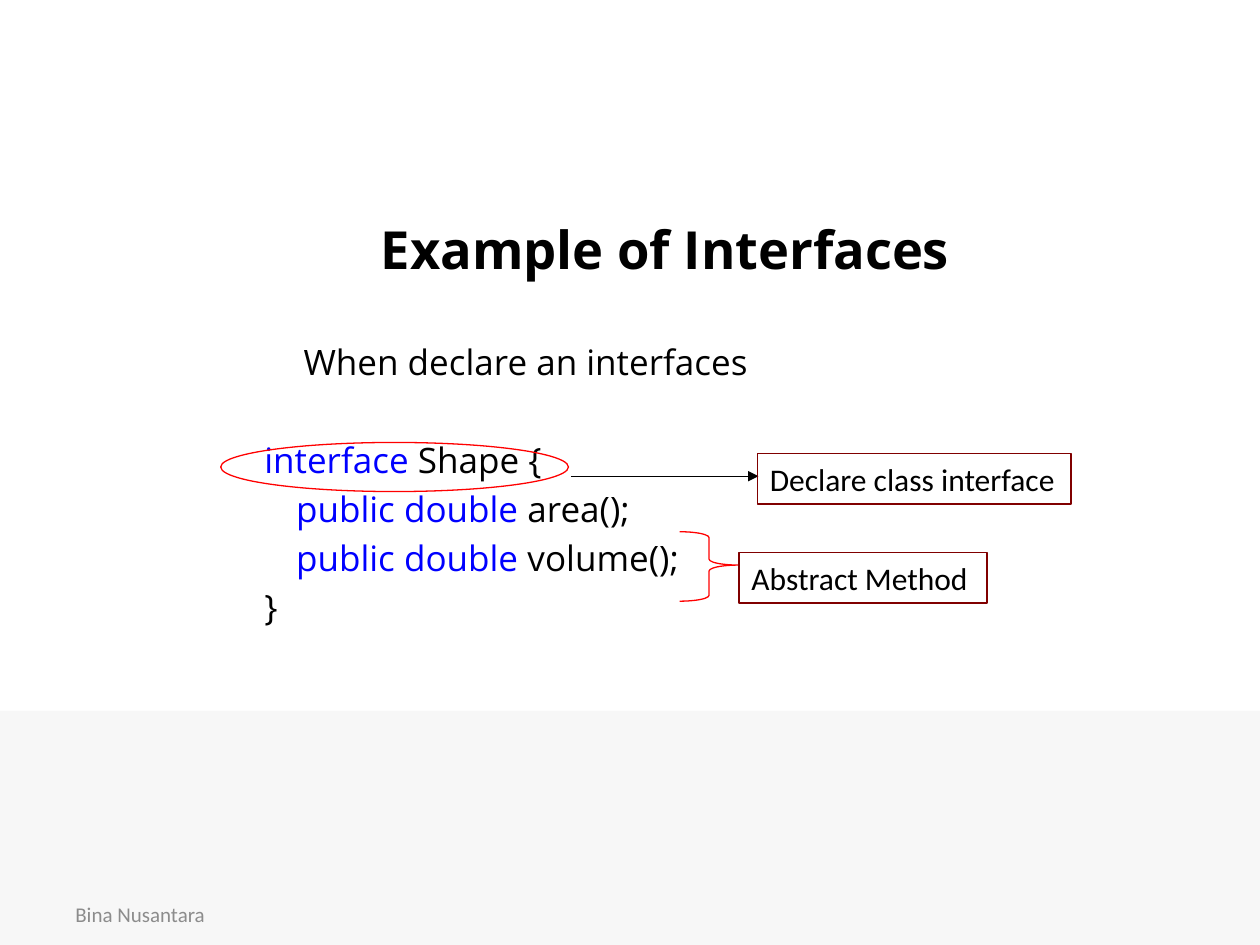
from dataclasses import dataclass
from typing import NamedTuple

from pptx import Presentation
from pptx.dml.color import RGBColor
from pptx.enum.shapes import MSO_CONNECTOR, MSO_SHAPE
from pptx.enum.text import MSO_ANCHOR, PP_ALIGN
from pptx.oxml.ns import qn
from pptx.util import Cm, Pt
from lxml.etree import SubElement


@dataclass(frozen=True)
class Theme:
    black: str = "000000"
    keyword: str = "0000FF"
    marker: str = "FF0000"
    label_border: str = "800000"
    band: str = "F7F7F7"
    footer: str = "8C8C8C"
    heading_font: str = "Open Sans"
    label_font: str = "Calibri"
    title_size: float = 30
    body_size: float = 20
    label_size: float = 18
    footer_size: float = 12
    line_width: float = 0.75


class Box(NamedTuple):
    left: float
    top: float
    width: float
    height: float

    def lengths(self) -> tuple:
        return tuple(Cm(value) for value in self)


class Marker(NamedTuple):
    kind: MSO_SHAPE
    box: Box
    color: str
    label: str = ""
    adjustments: tuple = ()


class BodyLine(NamedTuple):
    keyword: str
    rest: str
    indent: float
    space_before: float


THEME = Theme()
CODE_INDENT = 3.81
MEMBER_INDENT = 4.45
LINE_GAP = 4
SECTION_GAP = 32

BODY_LINES = [
    BodyLine("", "When declare an interfaces", 4.6, 0),
    BodyLine("interface", " Shape {", CODE_INDENT, SECTION_GAP),
    BodyLine("public double", " area();", MEMBER_INDENT, LINE_GAP),
    BodyLine("public double", " volume();", MEMBER_INDENT, LINE_GAP),
    BodyLine("", "}", CODE_INDENT, LINE_GAP),
]

MARKERS = [
    Marker(MSO_SHAPE.OVAL, Box(4.45, 8.92, 7.01, 0.99), THEME.marker),
    Marker(MSO_SHAPE.RECTANGLE, Box(15.27, 9.14, 6.32, 1.02), THEME.label_border,
           "Declare class interface"),
    Marker(MSO_SHAPE.RIGHT_BRACE, Box(13.7, 10.72, 1.19, 1.4), THEME.marker,
           adjustments=(0.1, 0.48)),
    Marker(MSO_SHAPE.RECTANGLE, Box(14.9, 11.14, 5, 1.02), THEME.label_border,
           "Abstract Method"),
]


def add_text(paragraph, text: str, *, font: str = THEME.label_font,
             size: float = THEME.label_size, color: str = THEME.black,
             bold: bool = False, align: PP_ALIGN = PP_ALIGN.LEFT) -> None:
    paragraph.alignment = align
    run = paragraph.add_run()
    run.text = text
    run.font.name = font
    run.font.size = Pt(size)
    run.font.bold = bold
    run.font.color.rgb = RGBColor.from_string(color)


def add_band(slide) -> None:
    band = slide.shapes.add_shape(
        MSO_SHAPE.RECTANGLE, *Box(0, 14.33, 25.4, 4.72).lengths())
    band.shadow.inherit = False
    band.fill.solid()
    band.fill.fore_color.rgb = RGBColor.from_string(THEME.band)
    band.line.fill.background()


def add_footer(slide) -> None:
    footer = slide.shapes.add_textbox(*Box(1.27, 17.92, 5.92, 1.02).lengths())
    frame = footer.text_frame
    frame.word_wrap = True
    frame.vertical_anchor = MSO_ANCHOR.MIDDLE
    add_text(frame.paragraphs[0], "Bina Nusantara",
             size=THEME.footer_size, color=THEME.footer)


def add_title(slide) -> None:
    title = slide.shapes.title
    title.left, title.top, title.width, title.height = Box(1.98, 4.01, 22.86, 2.01).lengths()
    title.text_frame.vertical_anchor = MSO_ANCHOR.MIDDLE
    add_text(title.text_frame.paragraphs[0], "Example of Interfaces",
             font=THEME.heading_font, size=THEME.title_size, bold=True,
             align=PP_ALIGN.CENTER)


def add_body(slide, lines: list[BodyLine]) -> None:
    body = slide.shapes.add_textbox(*Box(1.27, 5.74, 22.86, 8).lengths())
    frame = body.text_frame
    frame.word_wrap = True
    frame.margin_top = Cm(1.12)
    for index, line in enumerate(lines):
        paragraph = frame.add_paragraph() if index else frame.paragraphs[0]
        paragraph._p.get_or_add_pPr().set("marL", str(int(Cm(line.indent))))
        paragraph.space_before = Pt(line.space_before)
        for text, color in ((line.keyword, THEME.keyword), (line.rest, THEME.black)):
            if text:
                add_text(paragraph, text, font=THEME.heading_font,
                         size=THEME.body_size, color=color)


def add_marker(slide, marker: Marker) -> None:
    shape = slide.shapes.add_shape(marker.kind, *marker.box.lengths())
    shape.shadow.inherit = False
    shape.fill.background()
    shape.line.color.rgb = RGBColor.from_string(marker.color)
    shape.line.width = Pt(THEME.line_width)
    for index, value in enumerate(marker.adjustments):
        shape.adjustments[index] = value
    if marker.label:
        frame = shape.text_frame
        frame.word_wrap = True
        frame.vertical_anchor = MSO_ANCHOR.TOP
        add_text(frame.paragraphs[0], marker.label)


def add_arrow(slide, left: float, right: float, top: float) -> None:
    arrow = slide.shapes.add_connector(
        MSO_CONNECTOR.STRAIGHT, Cm(left), Cm(top), Cm(right), Cm(top))
    arrow.line.color.rgb = RGBColor.from_string(THEME.black)
    arrow.line.width = Pt(THEME.line_width)
    SubElement(arrow.line._get_or_add_ln(), qn("a:tailEnd"), type="triangle")
    SubElement(arrow._element.spPr, qn("a:effectLst"))


def main() -> None:
    presentation = Presentation()
    presentation.slide_width = Cm(25.4)
    presentation.slide_height = Cm(19.05)
    slide = presentation.slides.add_slide(presentation.slide_layouts[5])
    add_band(slide)
    add_footer(slide)
    add_title(slide)
    add_body(slide, BODY_LINES)
    add_arrow(slide, 11.51, 15.29, 9.6)
    for marker in MARKERS:
        add_marker(slide, marker)
    presentation.save("out.pptx")


if __name__ == "__main__":
    main()
